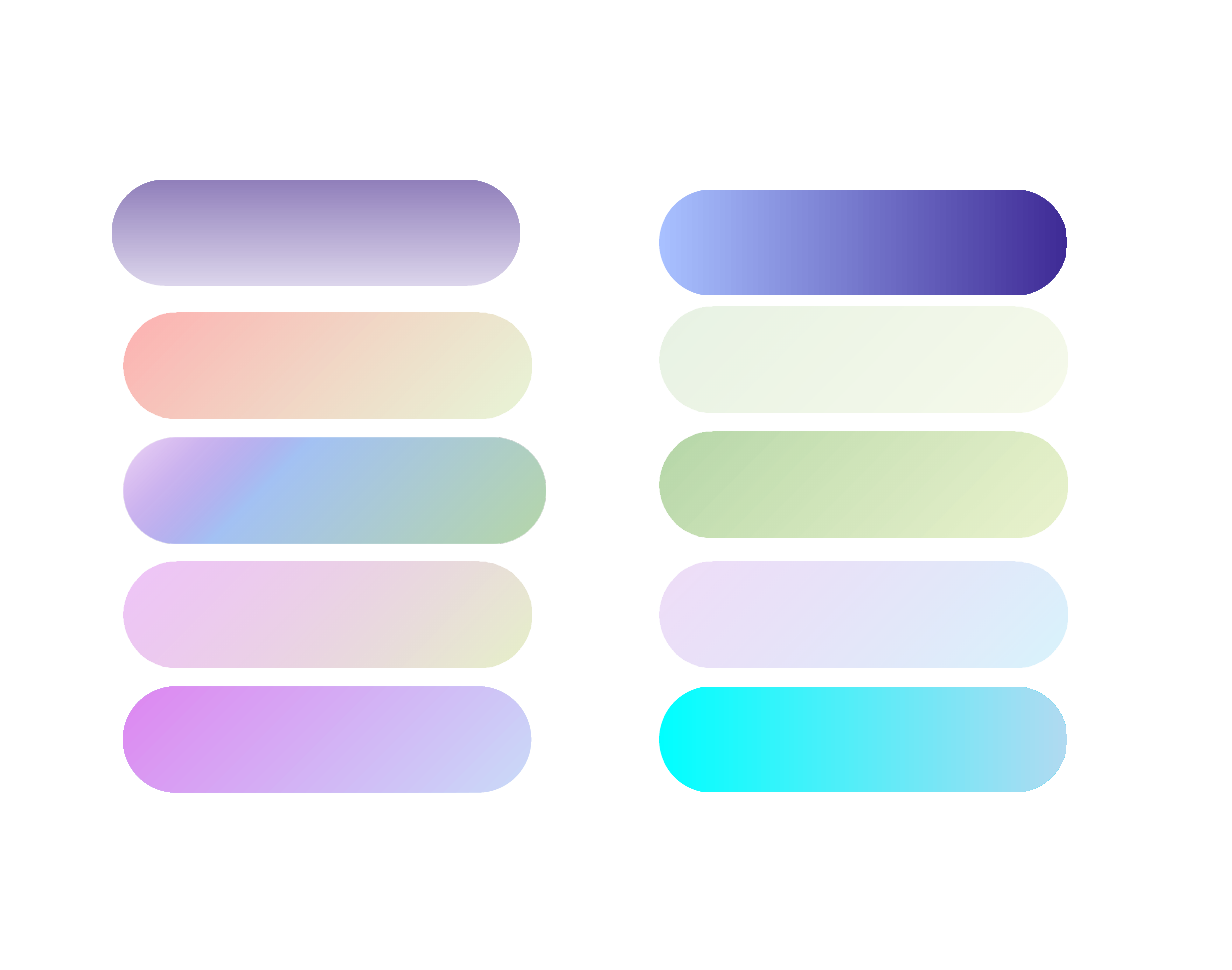
from lxml.etree import SubElement
from pptx import Presentation
from pptx.dml.color import RGBColor
from pptx.enum.shapes import MSO_SHAPE
from pptx.oxml.ns import qn
from pptx.util import Cm

LAVENDER = RGBColor(0xDB, 0xD4, 0xEB)
DUSK = RGBColor(0x91, 0x80, 0xBB)
PERIWINKLE = RGBColor(0xA8, 0xC0, 0xFF)
INDIGO = RGBColor(0x3F, 0x2B, 0x96)
LIME = RGBColor(0xD8, 0xED, 0xBA)
CORAL = RGBColor(0xFE, 0x96, 0x96)
SAGE = RGBColor(0xB6, 0xD7, 0xA8)
SKY = RGBColor(0xA4, 0xC2, 0xF4)
VIOLET = RGBColor(0x9F, 0x39, 0xD5)
PEAR = RGBColor(0xE0, 0xED, 0xBA)
ORCHID = RGBColor(0xDE, 0x87, 0xF1)
ICE = RGBColor(0xC9, 0xDA, 0xF8)
AZURE = RGBColor(0x69, 0xD4, 0xF4)
CYAN = RGBColor(0x00, 0xFF, 0xFF)
POWDER = RGBColor(0xB0, 0xDA, 0xF1)

RIGHTWARD, UPWARD, UP_LEFT = 0, 90, 135
PILL_WIDTH, PILL_HEIGHT = 8.41, 2.18

LEFT_PILLS = [
    (-0.23, 0, PILL_WIDTH, UPWARD, [(0, LAVENDER, 100), (100, DUSK, 100)]),
    (0, 2.74, PILL_WIDTH, UP_LEFT, [(0, LIME, 58), (100, CORAL, 74)]),
    (0, 5.31, 8.71, UP_LEFT, [(0, SAGE, 100), (64, SKY, 100), (100, VIOLET, 17)]),
    (0, 7.87, PILL_WIDTH, UP_LEFT, [(0, PEAR, 79), (100, ORCHID, 48)]),
    (0, 10.44, PILL_WIDTH, UP_LEFT, [(0, ICE, 100), (100, ORCHID, 100)]),
]
RIGHT_PILLS = [
    (0, 0, PILL_WIDTH, RIGHTWARD, [(0, PERIWINKLE, 100), (100, INDIGO, 100)]),
    (0, 2.41, PILL_WIDTH, UP_LEFT, [(0, PEAR, 29), (100, SAGE, 31)]),
    (0, 4.98, PILL_WIDTH, UP_LEFT, [(0, PEAR, 71), (100, SAGE, 100)]),
    (0, 7.67, PILL_WIDTH, UP_LEFT, [(0, AZURE, 26), (100, VIOLET, 17)]),
    (0, 10.24, PILL_WIDTH, RIGHTWARD, [(0, CYAN, 100), (100, POWDER, 100)]),
]


def fill_gradient(pill, angle, stops):
    """Fill a pill with (position, colour, opacity) stops, given in percent."""
    pill.fill.gradient()
    pill.fill.gradient_angle = angle
    stop_list = next(pill.element.iter(qn("a:gsLst")))
    stop_list.clear()
    for position, color, opacity in stops:
        stop = SubElement(stop_list, qn("a:gs"), pos=str(position * 1000))
        tint = SubElement(stop, qn("a:srgbClr"), val=str(color))
        if opacity < 100:
            SubElement(tint, qn("a:alpha"), val=str(opacity * 1000))


def add_pill_column(slide, left, top, pills):
    """Place a column of gradient pills relative to its top left corner."""
    for shift, drop, width, angle, stops in pills:
        pill = slide.shapes.add_shape(
            MSO_SHAPE.ROUNDED_RECTANGLE,
            Cm(left + shift), Cm(top + drop), Cm(width), Cm(PILL_HEIGHT))
        pill.adjustments[0] = 0.5
        pill.shadow.inherit = False
        pill.line.fill.background()
        fill_gradient(pill, angle, stops)


def main():
    """Build the gradient swatch slide."""
    presentation = Presentation()
    presentation.slide_width = Cm(25.4)
    presentation.slide_height = Cm(19.99)
    slide = presentation.slides.add_slide(presentation.slide_layouts[6])
    add_pill_column(slide, 2.54, 3.71, LEFT_PILLS)
    add_pill_column(slide, 13.59, 3.91, RIGHT_PILLS)
    presentation.save("out.pptx")


main()
